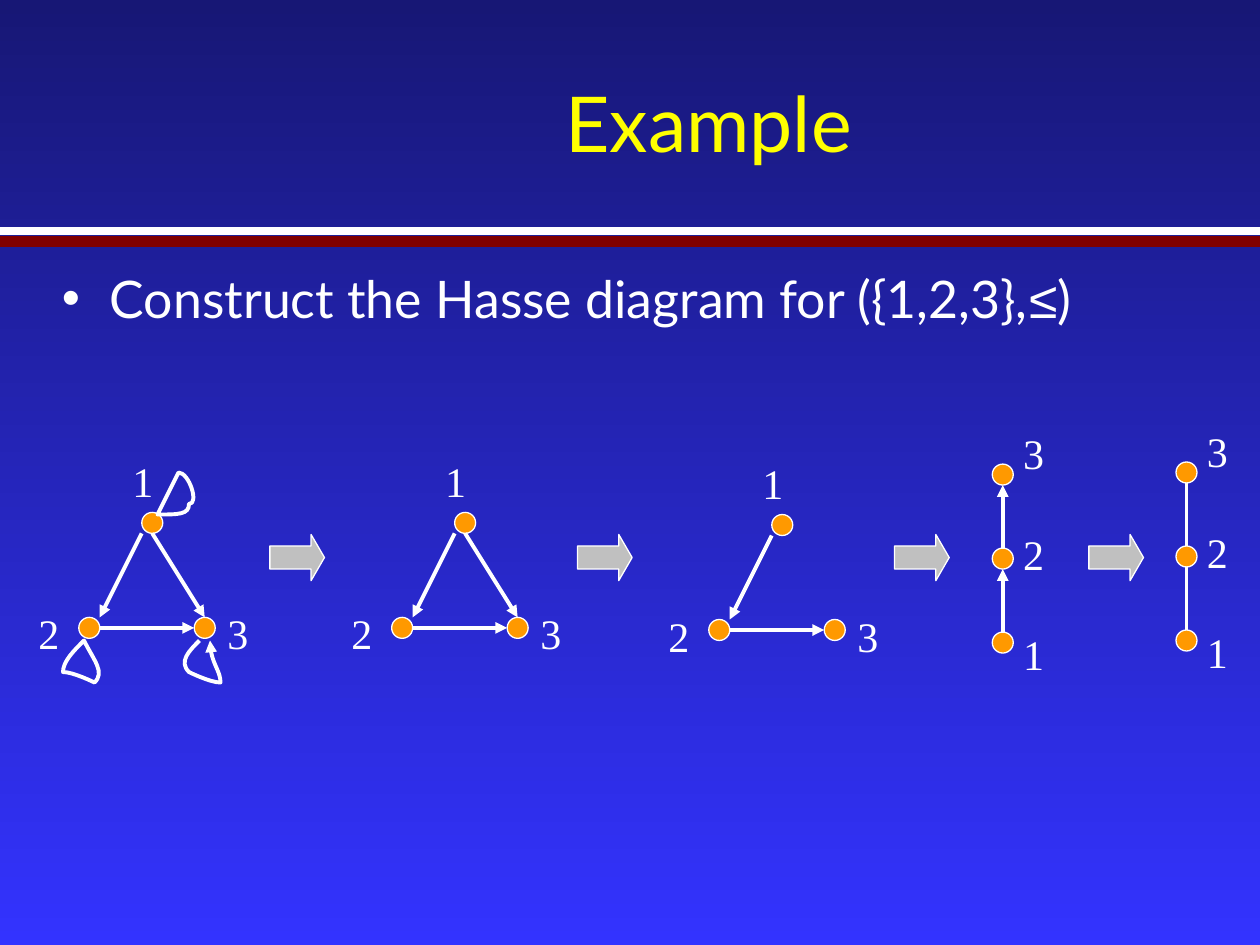
import pptx
import pptx.util
import pptx.dml.color
import pptx.enum.shapes
import pptx.enum.text
import pptx.oxml
import pptx.oxml.ns

RGBColor = pptx.dml.color.RGBColor
Pt = pptx.util.Pt
MSO_SHAPE = pptx.enum.shapes.MSO_SHAPE
PP_ALIGN = pptx.enum.text.PP_ALIGN
MSO_ANCHOR = pptx.enum.text.MSO_ANCHOR

NIGHT = RGBColor(0x17, 0x17, 0x75)
BLUE = RGBColor(0x33, 0x33, 0xFF)
WHITE = RGBColor(0xFF, 0xFF, 0xFF)
MAROON = RGBColor(0x80, 0x00, 0x00)
YELLOW = RGBColor(0xFF, 0xFF, 0x00)
ORANGE = RGBColor(0xFF, 0x99, 0x00)
SILVER = RGBColor(0xC0, 0xC0, 0xC0)

COLUMNS, ROWS = 120, 90
CELL = pptx.util.Inches(10) / COLUMNS

TRIANGLE_NODES = {"1": (0, 0), "2": (-6, 10), "3": (5, 10)}
TRIANGLE_LABELS = {"1": (-0.9, -4), "2": (-9.85, 10.5), "3": (8.15, 10.5)}
TRIANGLE_EDGES = {
    "13": ((0, 1), (5, 9)),
    "12": ((-1, 1), (-5, 9)),
    "23": ((-5, 10), (4, 10)),
}
LOWER_LOOP = [(-1, 1), (-1.7, 2.1), (-2.4, 3.2), (-2.05, 3.95), (-1.7, 4.6),
              (0.6, 5.4), (0.95, 4.9), (1.3, 4.4), (0.6, 2.75), (0, 1)]
UPPER_LOOP = [(0.85, -0.4), (2.15, -0.65), (3.5, -0.9), (3.75, -1.5), (4.1, -2.2),
              (3.25, -4.5), (2.65, -4.5), (2.05, -4.4), (1.1, -2.8), (0.2, -1.15)]


def cells(*counts):
    return [round(count * CELL) for count in counts]


def shift(points, left, top):
    return [(left + x, top + y) for x, y in points]


def add_text(paragraph, text, size=24, font="Times New Roman", color=WHITE):
    run = paragraph.add_run()
    run.text = text
    run.font.size = Pt(size)
    run.font.name = font
    run.font.color.rgb = color


def add_arrowhead(shape):
    line = shape.line._get_or_add_ln()
    pptx.oxml.ns.qn("a:tailEnd")
    line.append(line.makeelement(pptx.oxml.ns.qn("a:tailEnd"), {"type": "triangle"}))


def add_line(slide, start, end, color=WHITE, width=2.25, arrow=False):
    connector = slide.shapes.add_connector(
        pptx.enum.shapes.MSO_CONNECTOR.STRAIGHT, *cells(*start, *end))
    connector.line.color.rgb = color
    connector.line.width = Pt(width)
    if arrow:
        add_arrowhead(connector)
    properties = connector._element.spPr
    properties.append(properties.makeelement(pptx.oxml.ns.qn("a:effectLst"), {}))


def add_preset(slide, kind, box, fill):
    shape = slide.shapes.add_shape(kind, *cells(*box))
    shape.shadow.inherit = False
    shape.fill.solid()
    shape.fill.fore_color.rgb = fill
    shape.line.color.rgb = WHITE
    shape.line.width = Pt(0.75)
    return shape


def add_node(slide, x, y):
    add_preset(slide, MSO_SHAPE.OVAL, (x - 1, y - 1, 2, 2), ORANGE)


def add_label(slide, text, x, y):
    frame = slide.shapes.add_textbox(*cells(x - 2, y - 2.4, 4, 4.8)).text_frame
    frame.word_wrap = True
    frame.margin_left = frame.margin_right = 0
    frame.margin_top = frame.margin_bottom = 0
    frame.vertical_anchor = MSO_ANCHOR.MIDDLE
    frame.paragraphs[0].alignment = PP_ALIGN.CENTER
    add_text(frame.paragraphs[0], text)


def add_loop(slide, points):
    builder = slide.shapes.build_freeform(*points[0], scale=CELL)
    builder.add_line_segments(points[1:], close=False)
    shape = builder.convert_to_shape()
    segments = list(shape._element.iter(pptx.oxml.ns.qn("a:lnTo")))
    for first in range(0, len(segments), 3):
        curve = segments[first].makeelement(pptx.oxml.ns.qn("a:cubicBezTo"), {})
        segments[first].addprevious(curve)
        for segment in segments[first:first + 3]:
            curve.append(segment[0])
            segment.getparent().remove(segment)
    shape.shadow.inherit = False
    shape.fill.background()
    shape.line.color.rgb = WHITE
    shape.line.width = Pt(2.25)
    add_arrowhead(shape)


def add_triangle(slide, left, top, edges, loops=False):
    for x, y in shift(TRIANGLE_NODES.values(), left, top):
        add_node(slide, x, y)
    for name, (x, y) in TRIANGLE_LABELS.items():
        add_label(slide, name, left + x, top + y)
    for edge in edges:
        add_line(slide, *shift(TRIANGLE_EDGES[edge], left, top), arrow=True)
    if loops:
        add_loop(slide, shift(UPPER_LOOP, left, top))
        add_loop(slide, shift(LOWER_LOOP, left - 6, top + 10))
        add_loop(slide, shift(LOWER_LOOP, left + 5.35, top + 10))


def add_chain(slide, left, top, arrow):
    for step, name in enumerate("321"):
        y = top + 8 * step
        add_node(slide, left, y)
        add_label(slide, name, left + 2.95, top - 2.1 + 9.6 * step)
        if step:
            add_line(slide, (left, y - 1), (left, y - 7), arrow=arrow)


def add_backdrop(slide):
    fill = slide.background.fill
    fill.gradient()
    fill.gradient_angle = 270
    for stop, color, position in zip(fill.gradient_stops, (NIGHT, BLUE), (0, 1)):
        stop.color.rgb = color
        stop.position = position
    add_line(slide, (0, 22), (COLUMNS, 22), WHITE, 4.5)
    add_line(slide, (0, 23), (COLUMNS, 23), MAROON, 6)


def place(shape, box):
    shape.left, shape.top, shape.width, shape.height = cells(*box)
    shape.text_frame.word_wrap = True
    shape.text_frame.auto_size = pptx.enum.text.MSO_AUTO_SIZE.NONE
    return shape.text_frame


def add_heading(slide, box):
    frame = place(slide.shapes.title, box)
    frame.vertical_anchor = MSO_ANCHOR.MIDDLE
    frame.paragraphs[0].alignment = PP_ALIGN.CENTER
    add_text(frame.paragraphs[0], "Example", size=44, font="Lato", color=YELLOW)


def add_task(slide, box):
    frame = place(slide.placeholders[1], box)
    frame.margin_left = frame.margin_right = 0
    paragraph = frame.paragraphs[0]
    paragraph.space_before = Pt(8)
    indent = pptx.util.Inches(0.38)
    properties = paragraph._p.get_or_add_pPr()
    properties.set("marL", str(indent))
    properties.set("indent", str(-indent))
    for text, font in (("Construct the Hasse diagram for ({1,2,3},", "Lato"),
                       ("≤", "Arial"), (")", "Lato")):
        add_text(paragraph, text, size=29.6, font=font)


def main():
    presentation = pptx.Presentation()
    presentation.slide_width, presentation.slide_height = cells(COLUMNS, ROWS)
    slide = presentation.slides.add_slide(presentation.slide_layouts[1])
    add_backdrop(slide)
    add_heading(slide, (24, 4.2, 87, 14.8))
    add_task(slide, (5.9, 24.8, 108.8, 8.8))
    add_triangle(slide, 14.5, 49.8, ("13", "12", "23"), loops=True)
    add_triangle(slide, 44.3, 49.8, ("13", "12", "23"))
    add_triangle(slide, 74.5, 50, ("12", "23"))
    add_chain(slide, 95.5, 45.2, arrow=True)
    add_chain(slide, 113, 45, arrow=False)
    for left in (25.7, 55, 85.2, 103.7):
        arrow = add_preset(slide, MSO_SHAPE.RIGHT_ARROW, (left, 50.9, 5.2, 4.4), SILVER)
        arrow.adjustments[0] = 0.5
        arrow.adjustments[1] = 0.29
    presentation.save("out.pptx")


if __name__ == "__main__":
    main()
